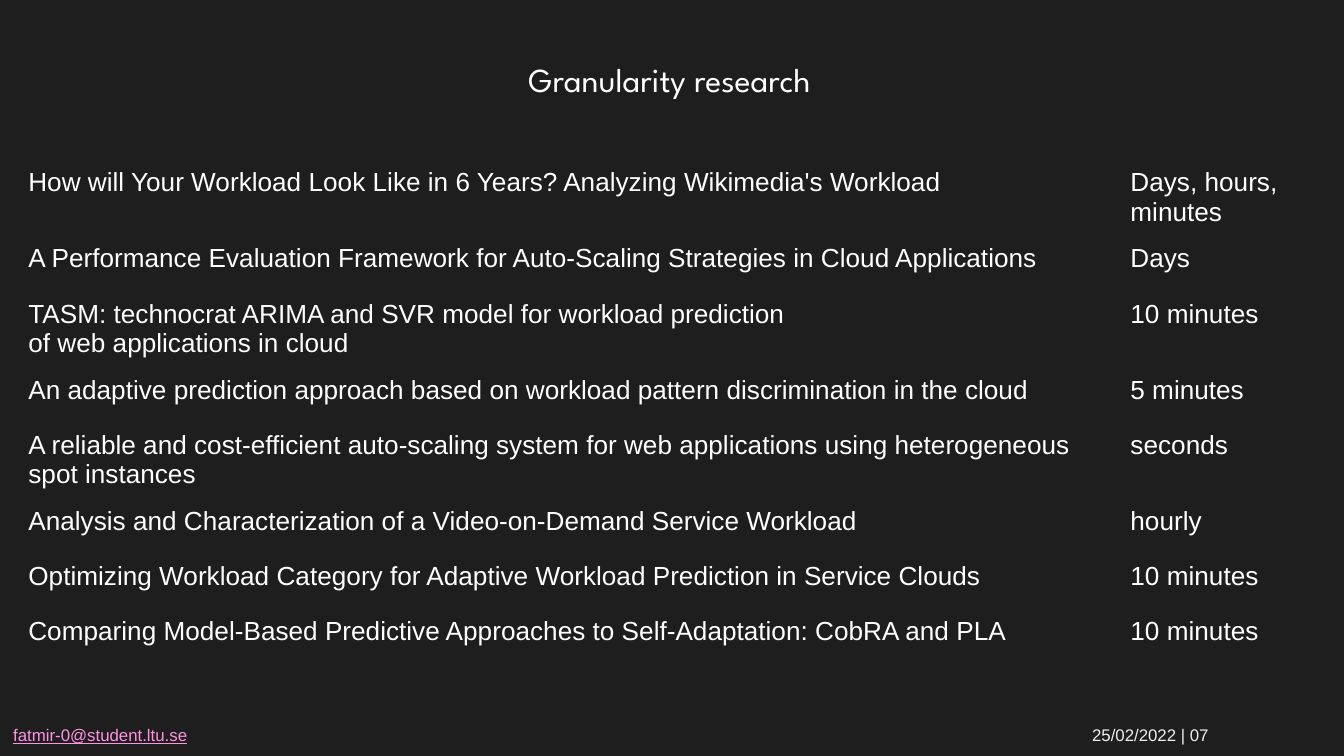
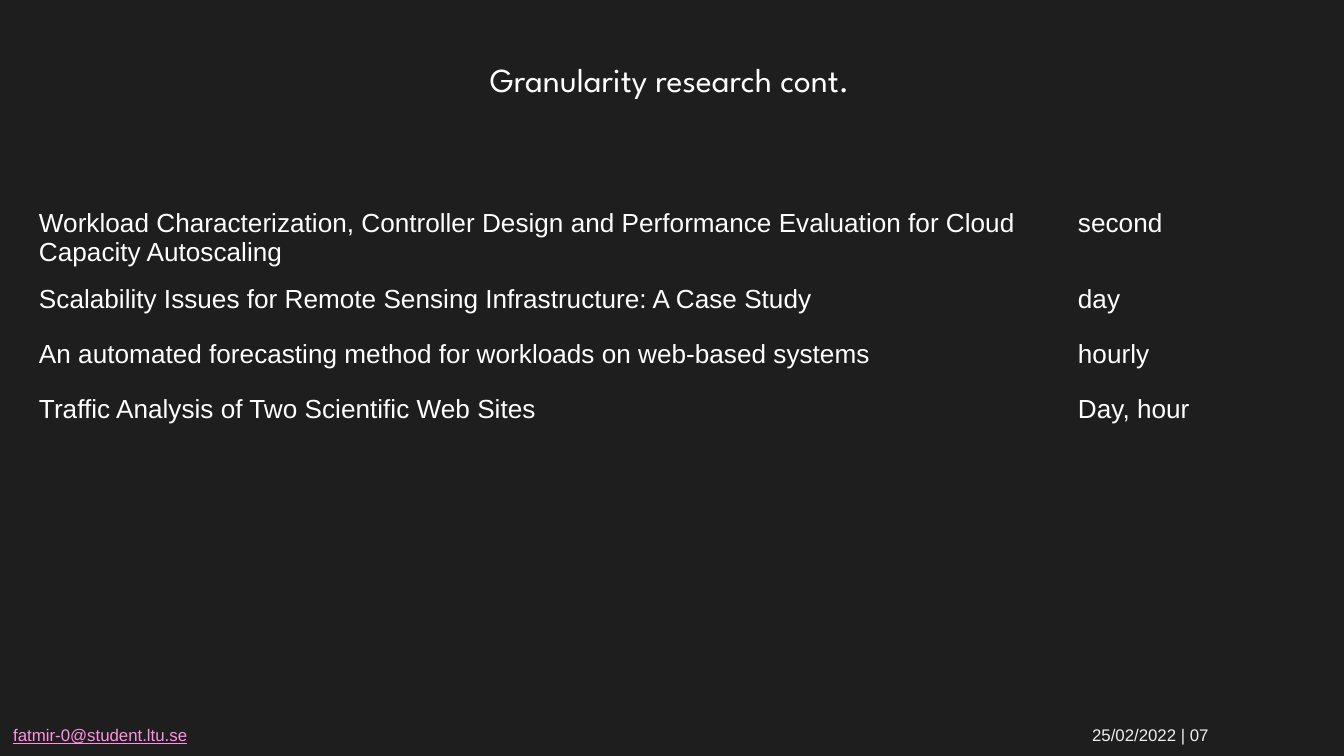
from pptx import Presentation
from pptx.dml.color import RGBColor
from pptx.enum.text import MSO_ANCHOR, PP_ALIGN
from pptx.oxml import parse_xml
from pptx.oxml.ns import nsdecls, qn
from pptx.util import Pt

BACKGROUND = RGBColor(0x1E, 0x1E, 0x1E)
WHITE = RGBColor(0xFF, 0xFF, 0xFF)
PINK = RGBColor(0xFF, 0x92, 0xE2)
PALE = RGBColor(0xEE, 0xEE, 0xEE)
PLAIN_TABLE_STYLE = "{2D5ABB26-0587-4C30-8999-92F81FD0307C}"

EMAIL = "fatmir-0@student.ltu.se"
DATE_AND_PAGE = "25/02/2022 | 07"
DATE_TAB = 578

SLIDES = [
    {
        "title": "Granularity research ",
        "corner": (8, 86.4),
        "columns": (590.4, 116),
        "papers": [
            ("How will Your Workload Look Like in 6 Years? Analyzing Wikimedia's Workload",
             "Days, hours, minutes"),
            ("A Performance Evaluation Framework for Auto-Scaling Strategies in Cloud Applications",
             "Days"),
            ("TASM: technocrat ARIMA and SVR model for workload prediction\n"
             "of web applications in cloud", "10 minutes"),
            ("An adaptive prediction approach based on workload pattern discrimination in the cloud",
             "5 minutes"),
            ("A reliable and cost-efficient auto-scaling system for web applications "
             "using heterogeneous spot instances", "seconds"),
            ("Analysis and Characterization of a Video-on-Demand Service Workload", "hourly"),
            ("Optimizing Workload Category for Adaptive Workload Prediction in Service Clouds",
             "10 minutes"),
            ("Comparing Model-Based Predictive Approaches to Self-Adaptation: CobRA and PLA",
             "10 minutes"),
        ],
    },
    {
        "title": "Granularity research cont. ",
        "corner": (13.7, 108),
        "columns": (556.6, 131),
        "papers": [
            ("Workload Characterization, Controller Design and Performance Evaluation "
             "for Cloud Capacity Autoscaling", "second"),
            ("Scalability Issues for Remote Sensing Infrastructure: A Case Study", "day"),
            ("An automated forecasting method for workloads on web-based systems", "hourly"),
            ("Traffic Analysis of Two Scientific Web Sites", "Day, hour"),
        ],
    },
]
ROW_COUNT = 8
FIRST_ROW_HEIGHT, ROW_HEIGHT = 27.4, 29.5


def set_font(paragraph, name, size, color):
    font = paragraph.font
    font.name, font.size = name, Pt(size)
    font.color.rgb = color


def add_footer(slide):
    box = slide.shapes.add_textbox(Pt(0), Pt(384.5), Pt(720), Pt(18))
    box.text_frame.word_wrap = True
    line = box.text_frame.paragraphs[0]
    line._p.get_or_add_pPr().append(parse_xml(
        f'<a:tabLst {nsdecls("a")}><a:tab pos="{Pt(DATE_TAB)}" algn="l"/></a:tabLst>'))
    set_font(line, "Arial", 9, PALE)
    email = line.add_run()
    email.text = EMAIL
    email.font.underline = True
    email.font.color.rgb = PINK
    line.add_run().text = "\t" + DATE_AND_PAGE


def add_title(slide, text):
    frame = slide.shapes.add_textbox(Pt(21), Pt(17.3), Pt(680), Pt(50.4)).text_frame
    frame.word_wrap = True
    frame.vertical_anchor = MSO_ANCHOR.MIDDLE
    frame.margin_left = frame.margin_right = Pt(7.2)
    frame.margin_top = frame.margin_bottom = Pt(7.2)
    title = frame.paragraphs[0]
    title.text = text
    title.alignment = PP_ALIGN.CENTER
    set_font(title, "League Spartan", 18, WHITE)


def add_papers(slide, corner, columns, papers):
    """Table of papers and their granularity; rows past the last paper stay empty."""
    left, top = corner
    height = FIRST_ROW_HEIGHT + (ROW_COUNT - 1) * ROW_HEIGHT
    table = slide.shapes.add_table(ROW_COUNT, len(columns), Pt(left), Pt(top),
                                   Pt(sum(columns)), Pt(height)).table
    table.first_row = table.horz_banding = False
    table._tbl.tblPr.find(qn("a:tableStyleId")).text = PLAIN_TABLE_STYLE
    for column, width in zip(table.columns, columns):
        column.width = Pt(width)
    for index, row in enumerate(table.rows):
        row.height = Pt(ROW_HEIGHT if index else FIRST_ROW_HEIGHT)
        for cell in row.cells:
            cell.fill.background()
    for row, paper in zip(table.rows, papers):
        for cell, text in zip(row.cells, paper):
            cell.text = text
            for paragraph in cell.text_frame.paragraphs:
                set_font(paragraph, "Arial", 14, WHITE)


def main():
    deck = Presentation()
    deck.slide_width, deck.slide_height = Pt(720), Pt(405)
    for content in SLIDES:
        slide = deck.slides.add_slide(deck.slide_layouts[6])
        slide.background.fill.solid()
        slide.background.fill.fore_color.rgb = BACKGROUND
        add_footer(slide)
        add_title(slide, content["title"])
        add_papers(slide, content["corner"], content["columns"], content["papers"])
    deck.save("out.pptx")


if __name__ == "__main__":
    main()
